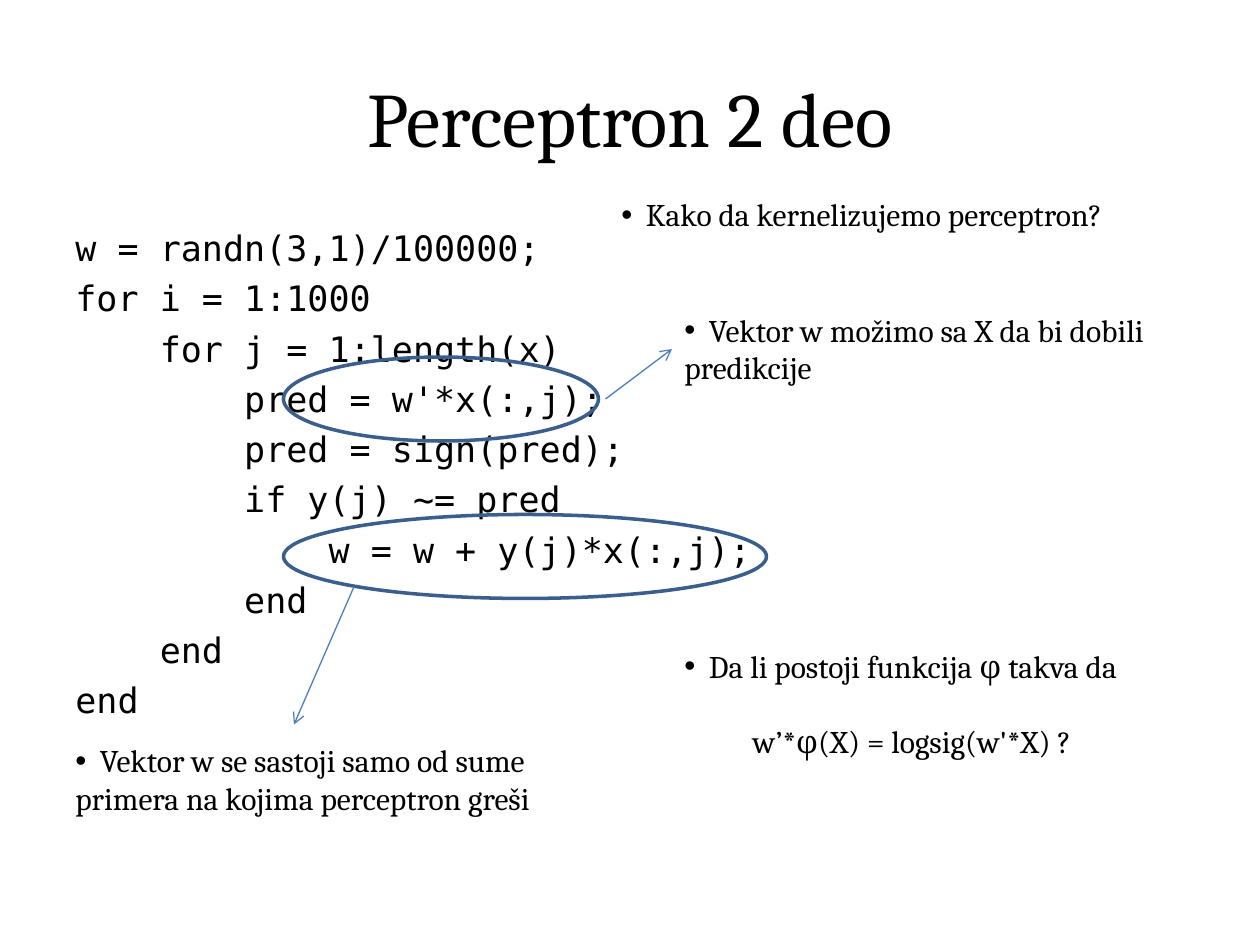
from dataclasses import dataclass

from lxml.etree import SubElement
from pptx import Presentation
from pptx.dml.color import RGBColor
from pptx.enum.shapes import MSO_CONNECTOR, MSO_SHAPE
from pptx.enum.text import MSO_ANCHOR, PP_ALIGN
from pptx.oxml.ns import qn
from pptx.util import Pt


@dataclass(frozen=True)
class Theme:
    text: RGBColor = RGBColor(0, 0, 0)
    ring: RGBColor = RGBColor(0x3A, 0x5F, 0x8C)
    arrow: RGBColor = RGBColor(0x4B, 0x7E, 0xBC)
    prose_font: str = "Cambria"
    code_font: str = "DejaVu Sans Mono"
    title_size: int = 44
    code_size: int = 20
    note_size: int = 18
    code_gap: float = 4.7
    formula_gap: float = 21.4
    bullet_gap: int = 14
    formula_indent: int = 39
    note_width: int = 318


THEME = Theme()

CODE = """\
w = randn(3,1)/100000;
for i = 1:1000
    for j = 1:length(x)
        pred = w'*x(:,j);
        pred = sign(pred);
        if y(j) ~= pred
            w = w + y(j)*x(:,j);
        end
    end
end"""


def add_text_frame(slide, left, top, width, height):
    frame = slide.shapes.add_textbox(Pt(left), Pt(top), Pt(width), Pt(height)).text_frame
    frame.word_wrap = True
    return frame


def style(paragraph, font_name, size):
    paragraph.font.name = font_name
    paragraph.font.size = Pt(size)
    paragraph.font.color.rgb = THEME.text


def add_title(slide, text, left, top, width, height):
    frame = add_text_frame(slide, left, top, width, height)
    frame.vertical_anchor = MSO_ANCHOR.MIDDLE
    title = frame.paragraphs[0]
    title.text = text
    title.alignment = PP_ALIGN.CENTER
    style(title, THEME.prose_font, THEME.title_size)


def add_code(slide, code, left, top, width, height):
    frame = add_text_frame(slide, left, top, width, height)
    frame.text = code
    for number, line in enumerate(frame.paragraphs):
        if number:
            line.space_before = Pt(THEME.code_gap)
        style(line, THEME.code_font, THEME.code_size)


def add_bullet(paragraph):
    """Bullet followed by a tab stop, so that wrapped lines return to the left edge."""
    properties = paragraph._p.get_or_add_pPr()
    properties.set("marL", "0")
    properties.set("indent", "0")
    SubElement(properties, qn("a:buFont"), typeface="Arial")
    SubElement(properties, qn("a:buChar"), char="•")
    tabs = SubElement(properties, qn("a:tabLst"))
    SubElement(tabs, qn("a:tab"), pos=str(Pt(THEME.bullet_gap)), algn="l")


def add_note(slide, text, left, top, height, continuation=None, formula=None):
    """Bulleted remark, with an optional unbulleted line or a set-off formula below."""
    frame = add_text_frame(slide, left, top, THEME.note_width, height)
    remark = frame.paragraphs[0]
    remark.text = "\t" + text
    add_bullet(remark)
    if continuation:
        frame.add_paragraph().text = continuation
    if formula:
        equation = frame.add_paragraph()
        equation.text = formula
        equation._p.get_or_add_pPr().set("marL", str(Pt(THEME.formula_indent)))
        equation.space_before = Pt(THEME.formula_gap)
    for paragraph in frame.paragraphs:
        style(paragraph, THEME.prose_font, THEME.note_size)


def add_ring(slide, left, top, width, height):
    ring = slide.shapes.add_shape(MSO_SHAPE.OVAL, Pt(left), Pt(top), Pt(width), Pt(height))
    ring.shadow.inherit = False
    ring.fill.background()
    ring.line.color.rgb = THEME.ring
    ring.line.width = Pt(2)


def add_arrow(slide, start, end):
    arrow = slide.shapes.add_connector(MSO_CONNECTOR.STRAIGHT, *map(Pt, start + end))
    arrow.line.color.rgb = THEME.arrow
    arrow.line.width = Pt(0.75)
    SubElement(arrow.line._get_or_add_ln(), qn("a:tailEnd"), type="arrow")
    SubElement(arrow._element.spPr, qn("a:effectLst"))


def add_perceptron_slide(presentation):
    slide = presentation.slides.add_slide(presentation.slide_layouts[6])
    add_title(slide, "Perceptron 2 deo", 36, 21.6, 648, 90)
    add_code(slide, CODE, 36, 126, 402, 396)

    add_ring(slide, 162, 204, 180, 48)
    add_ring(slide, 162, 294, 276, 48)
    add_arrow(slide, (202.4, 335), (168, 414))
    add_arrow(slide, (346, 228), (384, 199.5))

    add_note(slide, "Vektor w se sastoji samo od sume primera na kojima perceptron greši",
             36, 420, 51)
    add_note(slide, "Kako da kernelizujemo perceptron?", 348, 108, 51)
    add_note(slide, "Vektor w možimo sa X da bi dobili", 384, 174, 51,
             continuation="predikcije")
    add_note(slide, "Da li postoji funkcija φ takva da", 384, 366, 73,
             formula="w’*φ(X) = logsig(w'*X) ?")


def main():
    presentation = Presentation()
    presentation.slide_width, presentation.slide_height = Pt(720), Pt(540)
    add_perceptron_slide(presentation)
    presentation.save("out.pptx")


if __name__ == "__main__":
    main()
